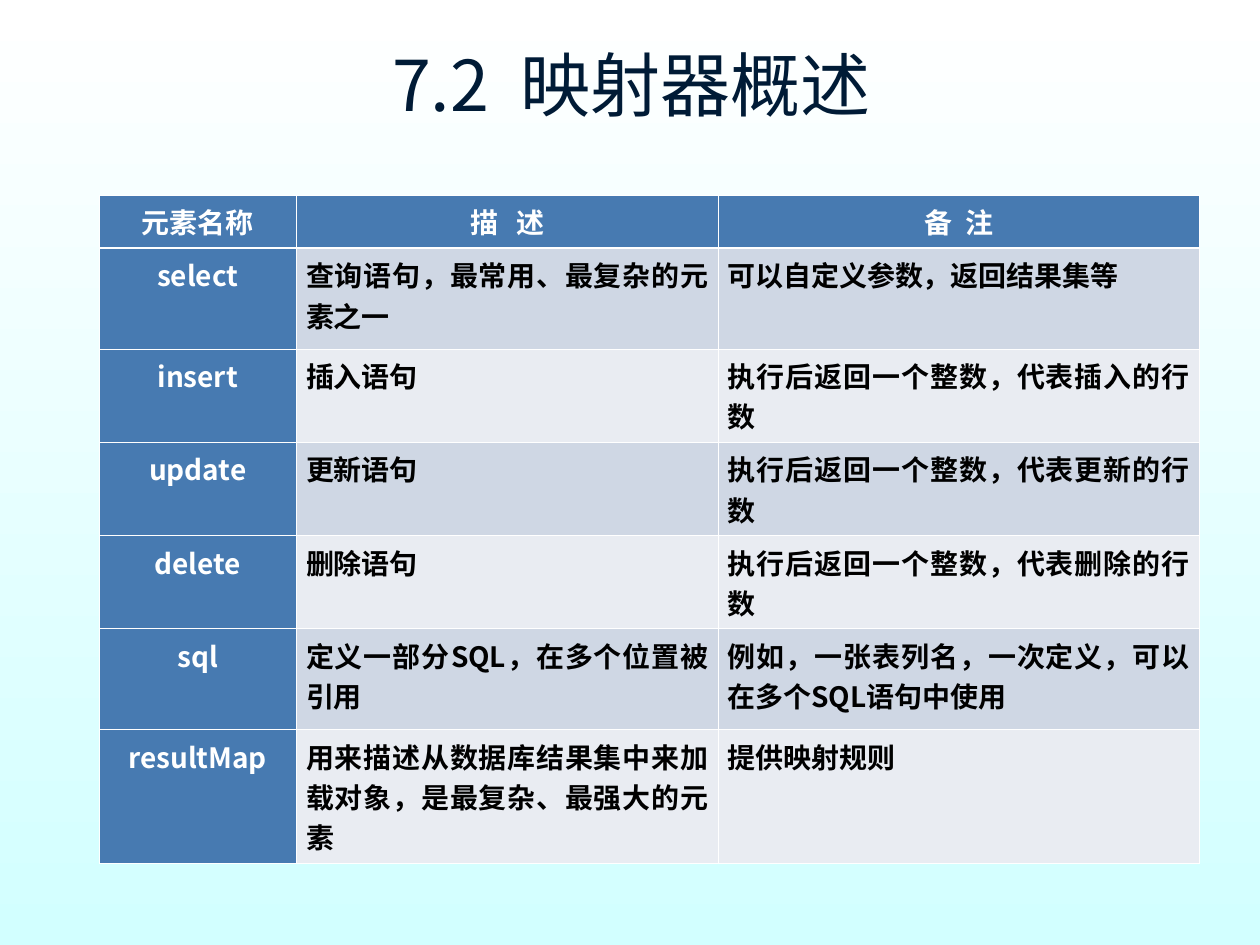
from dataclasses import dataclass

from lxml.etree import SubElement
from pptx import Presentation
from pptx.dml.color import RGBColor
from pptx.enum.text import MSO_ANCHOR as Anchor, MSO_AUTO_SIZE as AutoSize, PP_ALIGN as Align
from pptx.oxml import parse_xml
from pptx.oxml.ns import nsdecls, qn
from pptx.util import Pt


@dataclass(frozen=True)
class Theme:
    font: str = "Noto Sans CJK SC"
    title_size: float = 40
    table_size: float = 16
    title: str = "001B36"
    header_fill: str = "477AB1"
    header_text: str = "FFFFFF"
    body_text: str = "000000"
    bands: tuple = ("CFD7E4", "E9ECF2")
    border: str = "FFFFFF"
    thin: float = 0.45
    thick: float = 1.47
    sky: tuple = ("FFFFFF", "D2FFFF")


THEME = Theme()

TITLE = "7.2  映射器概述"
TITLE_BOX = (36.7, 20.2, 648, 55.4)
TABLE_BOX = (56.5, 111.5, 629, 317.5)
COLUMN_WIDTHS = (113, 241, 275)
ROW_HEIGHTS = (28.8, 57.6, 38.2, 38.2, 38.2, 57.6, 57.6)
ELEMENTS = [
    ("元素名称", "描   述", "备  注"),
    ("select", "查询语句，最常用、最复杂的元素之一", "可以自定义参数，返回结果集等"),
    ("insert", "插入语句", "执行后返回一个整数，代表插入的行数"),
    ("update", "更新语句", "执行后返回一个整数，代表更新的行数"),
    ("delete", "删除语句", "执行后返回一个整数，代表删除的行数"),
    ("sql", "定义一部分SQL，在多个位置被引用", "例如，一张表列名，一次定义，可以在多个SQL语句中使用"),
    ("resultMap", "用来描述从数据库结果集中来加载对象，是最复杂、最强大的元素", "提供映射规则"),
]


def write_text(frame, text, size, color, align, bold=False):
    frame.text = text
    paragraph = frame.paragraphs[0]
    paragraph.alignment = align
    run = paragraph.runs[0]
    run.font.name = THEME.font
    run.font.size = Pt(size)
    run.font.bold = bold
    run.font.color.rgb = RGBColor.from_string(color)
    east_asian = SubElement(run.font._element, qn("a:ea"))
    east_asian.set("typeface", THEME.font)


def paint_background(slide):
    fill = slide.background.fill
    fill.gradient()
    fill.gradient_angle = 270
    for stop, color in zip(fill.gradient_stops, THEME.sky):
        stop.color.rgb = RGBColor.from_string(color)


def place_title(slide, box):
    title = slide.shapes.title
    title.left, title.top, title.width, title.height = map(Pt, box)
    frame = title.text_frame
    frame.auto_size = AutoSize.NONE
    frame.vertical_anchor = Anchor.MIDDLE
    write_text(frame, TITLE, THEME.title_size, THEME.title, Align.CENTER)


def set_borders(cell, top, bottom):
    """Draw all four sides; top and bottom are widths in points."""
    properties = cell._tc.get_or_add_tcPr()
    sides = {"L": THEME.thin, "R": THEME.thin, "T": top, "B": bottom}
    for position, (side, width) in enumerate(sides.items()):
        line = parse_xml(
            f'<a:ln{side} {nsdecls("a")} w="{Pt(width)}"><a:solidFill>'
            f'<a:srgbClr val="{THEME.border}"/></a:solidFill></a:ln{side}>'
        )
        properties.insert(position, line)


def format_cell(cell, text, row, column):
    is_header = row == 0 or column == 0
    fill = THEME.header_fill if is_header else THEME.bands[(row - 1) % 2]
    cell.fill.solid()
    cell.fill.fore_color.rgb = RGBColor.from_string(fill)
    cell.margin_left = cell.margin_right = Pt(5.4)
    cell.margin_top = cell.margin_bottom = Pt(3.6)
    write_text(
        cell.text_frame, text, THEME.table_size,
        THEME.header_text if is_header else THEME.body_text,
        Align.CENTER if is_header else Align.JUSTIFY, bold=True,
    )
    set_borders(
        cell,
        top=THEME.thick if row == 1 else THEME.thin,
        bottom=THEME.thick if row == 0 else THEME.thin,
    )


def place_element_table(slide, box):
    table = slide.shapes.add_table(len(ELEMENTS), len(COLUMN_WIDTHS), *map(Pt, box)).table
    for column, width in zip(table.columns, COLUMN_WIDTHS):
        column.width = Pt(width)
    for row, height in zip(table.rows, ROW_HEIGHTS):
        row.height = Pt(height)
    for row, texts in enumerate(ELEMENTS):
        for column, text in enumerate(texts):
            format_cell(table.cell(row, column), text, row, column)


def main():
    deck = Presentation()
    deck.slide_width, deck.slide_height = Pt(720), Pt(540)
    slide = deck.slides.add_slide(deck.slide_layouts.get_by_name("Title Only"))
    paint_background(slide)
    place_title(slide, TITLE_BOX)
    place_element_table(slide, TABLE_BOX)
    deck.save("out.pptx")


if __name__ == "__main__":
    main()
